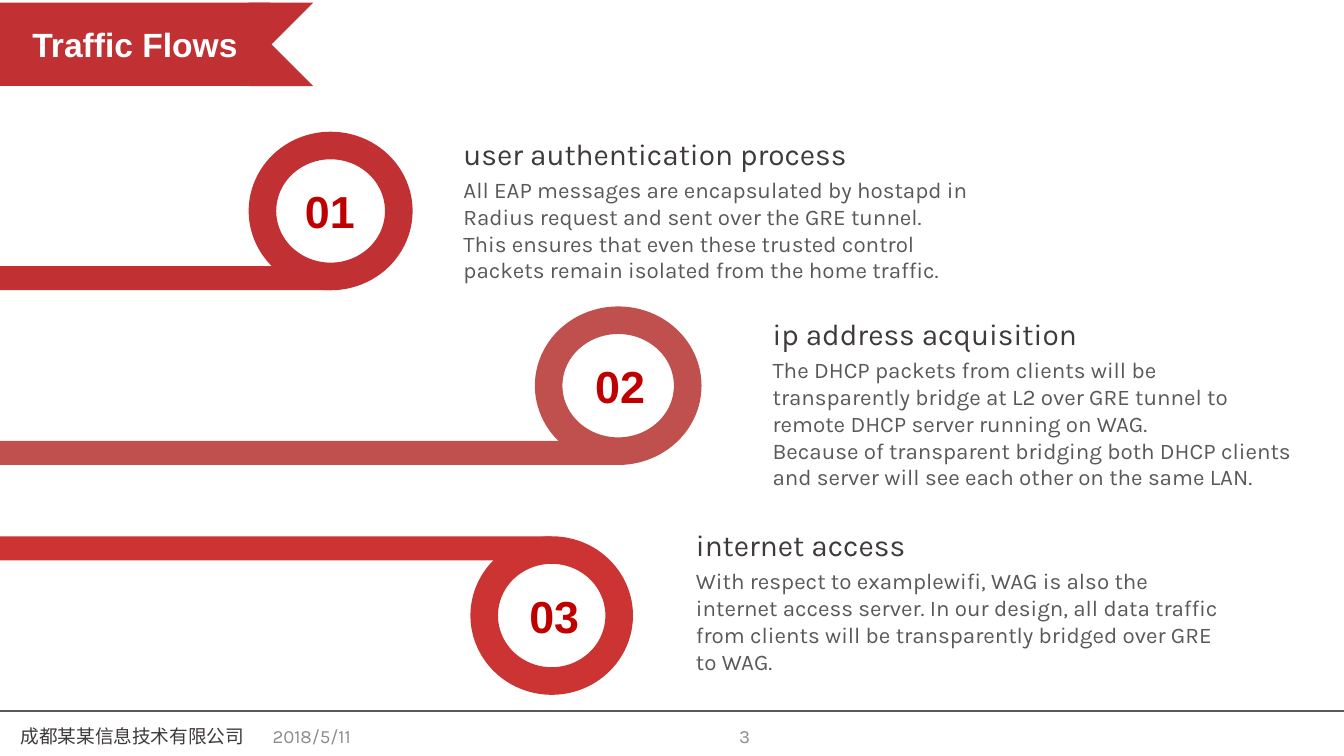
from dataclasses import dataclass

from lxml.etree import SubElement
from pptx import Presentation
from pptx.dml.color import RGBColor
from pptx.enum.shapes import MSO_CONNECTOR, MSO_SHAPE
from pptx.enum.text import MSO_ANCHOR, MSO_AUTO_SIZE, PP_ALIGN
from pptx.oxml.ns import qn
from pptx.util import Inches, Pt

RED = RGBColor(0xC1, 0x31, 0x33)
SOFT_RED = RGBColor(0xC0, 0x50, 0x4D)
BRIGHT_RED = RGBColor(0xCC, 0x33, 0x33)
NUMBER_RED = RGBColor(0xC0, 0x00, 0x00)
WHITE = RGBColor(0xFF, 0xFF, 0xFF)
DARK = RGBColor(0x3E, 0x3A, 0x39)
GRAY = RGBColor(0x59, 0x59, 0x59)
LIGHT_GRAY = RGBColor(0x8C, 0x8C, 0x8C)

SLIDE_WIDTH = 10
SLIDE_HEIGHT = SLIDE_WIDTH * 9 / 16
RING_HEIGHT, BAR_HEIGHT = 1.18, 0.18
BODY_WIDTH = 4.09


@dataclass
class Flow:
    """One numbered step with its ring, bar and text."""
    number: str
    color: RGBColor
    ring: tuple  # left, top, width
    bar_at_top: bool
    number_left: float
    heading: str
    heading_box: tuple  # left, top, width
    body: list
    body_height: float


FLOWS = [
    Flow("01", RED, (1.85, 0.98, 1.22), False, 2.17,
         "user authentication process", (3.35, 0.96, 3.94),
         ["All EAP messages are encapsulated by hostapd in Radius request "
          "and sent over the GRE tunnel.",
          "This ensures that even these trusted control packets remain "
          "isolated from the home traffic."], 0.91),
    Flow("02", SOFT_RED, (3.98, 2.28, 1.24), False, 4.33,
         "ip address acquisition", (5.65, 2.3, 2.67),
         ["The DHCP packets from clients will be transparently bridge at L2 "
          "over GRE tunnel to remote DHCP server running on WAG.",
          "Because of transparent bridging both DHCP clients and server will "
          "see each other on the same LAN."], 1.51),
    Flow("03", BRIGHT_RED, (3.5, 3.99, 1.21), True, 3.84,
         "internet access", (5.08, 3.87, 2.67),
         ["With respect to examplewifi, WAG is also the internet access "
          "server. In our design, all data traffic from clients will be "
          "transparently bridged over GRE to WAG."], 0.91),
]


def add_run(paragraph, text, size, color, font="Karla", bold=False):
    """Add one formatted run to a paragraph."""
    run = paragraph.add_run()
    run.text = text
    run.font.size = Pt(size)
    run.font.name = font
    run.font.bold = bold
    run.font.color.rgb = color


def add_text(slide, box, lines, size, color, font="Karla", bold=False,
             align=PP_ALIGN.LEFT, anchor=MSO_ANCHOR.TOP):
    """Add a wrapping text box with one paragraph per line."""
    frame = slide.shapes.add_textbox(*map(Inches, box)).text_frame
    frame.word_wrap = True
    frame.vertical_anchor = anchor
    if anchor == MSO_ANCHOR.TOP:
        frame.auto_size = MSO_AUTO_SIZE.SHAPE_TO_FIT_TEXT
    for index, line in enumerate(lines):
        paragraph = frame.add_paragraph() if index else frame.paragraphs[0]
        paragraph.alignment = align
        add_run(paragraph, line, size, color, font, bold)


def add_solid(shapes, kind, box, color):
    """Add a filled preset shape without outline or shadow."""
    shape = shapes.add_shape(kind, *map(Inches, box))
    shape.shadow.inherit = False
    shape.fill.solid()
    shape.fill.fore_color.rgb = color
    shape.line.fill.background()
    return shape


def add_footer(slide):
    """Add the rule, company, date and slide number."""
    rule = slide.shapes.add_connector(
        MSO_CONNECTOR.STRAIGHT, 0, Inches(5.29), Inches(SLIDE_WIDTH), Inches(5.29))
    rule.line.color.rgb = GRAY
    rule.line.width = Pt(0.75)
    SubElement(rule._element.spPr, qn("a:effectLst"))
    for left, width, text, color, align in [
            (1.93, 2.33, "2018/5/11", LIGHT_GRAY, PP_ALIGN.LEFT),
            (-0.83, 3.63, "成都某某信息技术有限公司", DARK, PP_ALIGN.CENTER),
            (3.35, 2.33, "3", LIGHT_GRAY, PP_ALIGN.RIGHT)]:
        add_text(slide, (left, 5.33, width, 0.3), [text], 10, color,
                 align=align, anchor=MSO_ANCHOR.MIDDLE)


def add_flow(slide, flow):
    """Add the bar, ring, number, heading and body of one flow."""
    left, top, width = flow.ring
    bar_top = top if flow.bar_at_top else top + RING_HEIGHT - BAR_HEIGHT
    add_solid(slide.shapes, MSO_SHAPE.RECTANGLE,
              (0, bar_top, left + width / 2, BAR_HEIGHT), flow.color)
    ring = add_solid(slide.shapes, MSO_SHAPE.DONUT,
                     (left, top, width, RING_HEIGHT), flow.color)
    ring.adjustments[0] = 0.174
    add_text(slide, (flow.number_left, top + 0.34, 0.91, 0.5), [flow.number],
             24, NUMBER_RED, "Arial", True)
    text_left, text_top, heading_width = flow.heading_box
    add_text(slide, (text_left, text_top, heading_width, 0.37),
             [flow.heading], 16, DARK)
    add_text(slide, (text_left, text_top + 0.3, BODY_WIDTH, flow.body_height),
             flow.body, 12, GRAY)


def add_title_ribbon(slide, title):
    """Add the grouped ribbon that carries the title."""
    ribbon = slide.shapes.add_group_shape()
    tail = add_solid(ribbon.shapes, MSO_SHAPE.CHEVRON, (1.54, 0.02, 0.79, 0.62), RED)
    tail._element.spPr.xfrm.set("flipH", "1")
    banner = add_solid(ribbon.shapes, MSO_SHAPE.RECTANGLE, (0, 0.02, 2.01, 0.62), RED)
    frame = banner.text_frame
    frame.margin_top = frame.margin_bottom = Inches(0.16)
    frame.vertical_anchor = MSO_ANCHOR.MIDDLE
    paragraph = frame.paragraphs[0]
    paragraph.alignment = PP_ALIGN.CENTER
    add_run(paragraph, title, 18, WHITE, "Arial", True)


def main():
    """Build and save the slide."""
    presentation = Presentation()
    presentation.slide_width = Inches(SLIDE_WIDTH)
    presentation.slide_height = Inches(SLIDE_HEIGHT)
    slide = presentation.slides.add_slide(presentation.slide_layouts[6])
    add_footer(slide)
    for flow in FLOWS:
        add_flow(slide, flow)
    add_title_ribbon(slide, "Traffic Flows")
    presentation.save("out.pptx")


main()
